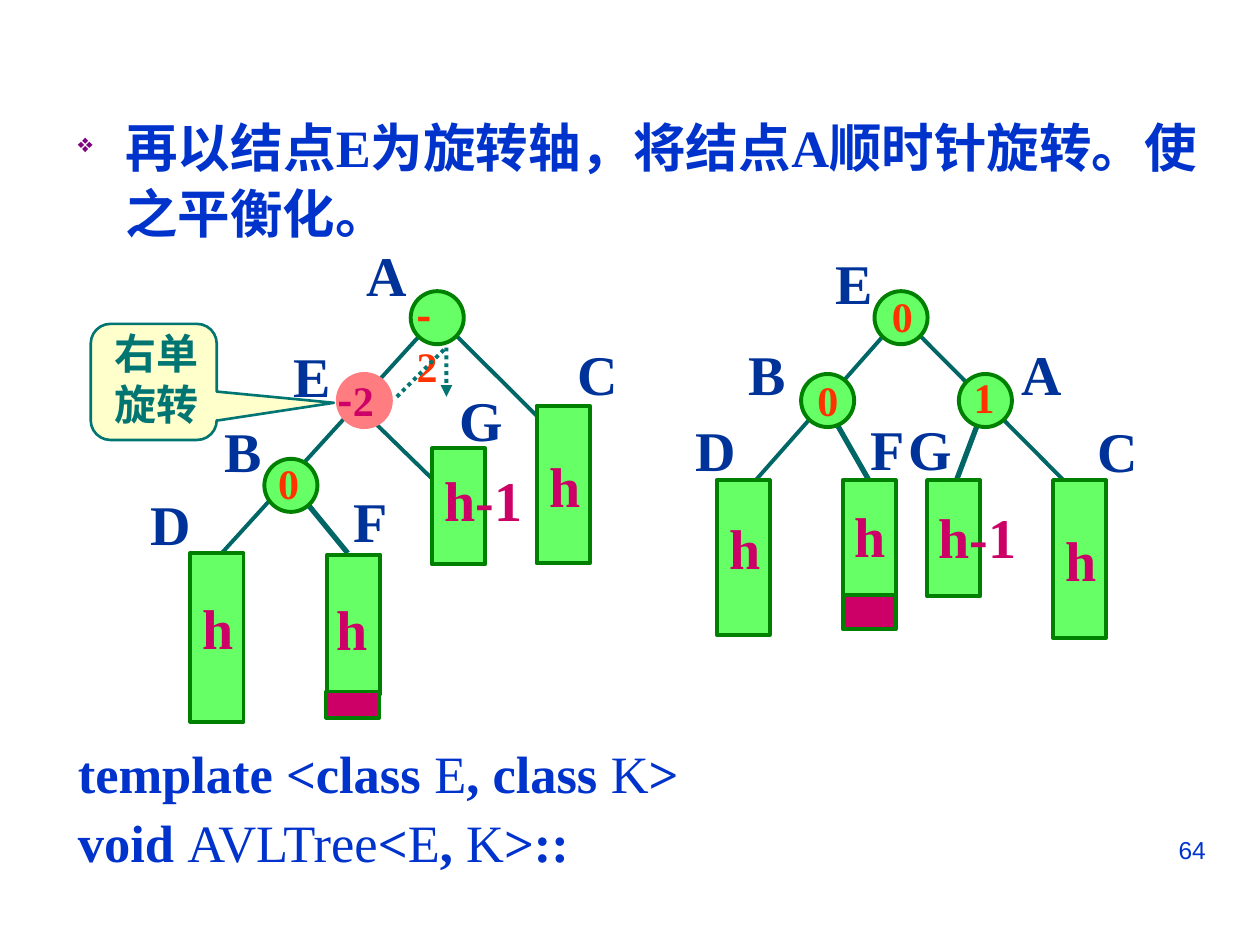
from dataclasses import dataclass
from typing import NamedTuple

from lxml import etree
from pptx import Presentation
from pptx import util as u
from pptx.dml.color import RGBColor
from pptx.enum import dml, shapes, text
from pptx.oxml import ns


@dataclass(frozen=True)
class Theme:
    blue: str = "0033CC"
    navy: str = "003399"
    teal: str = "007572"
    edge: str = "006666"
    green: str = "66FF66"
    outline: str = "008000"
    crimson: str = "CC0066"
    red: str = "FF3300"
    salmon: str = "FF7C80"
    cream: str = "FFFFCC"
    bullet: str = "800080"
    serif: str = "Times New Roman"
    sans: str = "Arial"
    cjk: str = "Noto Sans CJK SC"
    body: int = 30
    label: int = 32
    small: int = 24
    number: int = 14
    line: float = 2.25
    size: float = 1.07


class Edge(NamedTuple):
    x1: float
    y1: float
    x2: float
    y2: float
    width: float = 2.25


class Node(NamedTuple):
    x: float
    y: float
    fill: str = "66FF66"
    line: str = "008000"


class Bar(NamedTuple):
    x: float
    y: float
    height: float
    caption: str = ""
    spacing: float = 1.0
    fill: str = "66FF66"


class Label(NamedTuple):
    words: str
    x: float
    y: float


class Balance(NamedTuple):
    words: str
    x: float
    y: float
    width: float = 0.91
    color: str = "FF3300"
    wrap: bool = False


THEME = Theme()
LABEL_WIDTHS = {"A": 1.32, "B": 1.24, "C": 1.32, "D": 1.32, "E": 1.24, "F": 1.19, "G": 1.37,
                "h": 1.14, "h-1": 2.08}
EDGES = [
    Edge(5.97, 9.88, 7.01, 11.15, 3), Edge(9.14, 6.71, 11.05, 8.61),
    Edge(8.51, 6.71, 4.47, 11.15), Edge(7.44, 8.41, 8.71, 9.65),
    Edge(19.76, 8.41, 19.13, 10.08, 3), Edge(18.49, 6.71, 21.44, 9.68),
    Edge(17.86, 6.71, 14.88, 10.08), Edge(16.79, 8.41, 17.63, 9.88, 3),
]
NODES = [
    Node(8.28, 5.87), Node(6.81, 7.54, THEME.salmon, THEME.salmon), Node(5.33, 9.25),
    Node(17.63, 5.87), Node(16.15, 7.54), Node(19.33, 7.54),
]
BARS = [
    Bar(10.82, 8.18, 3.18, "h"), Bar(3.84, 11.15, 3.4, "h", 0.6),
    Bar(6.6, 11.18, 2.82), Bar(8.71, 9.04, 2.34), Bar(6.58, 13.94, 0.53, fill=THEME.crimson),
    Bar(21.23, 9.68, 3.18, "h"), Bar(14.45, 9.68, 3.12, "h", 0.6),
    Bar(16.99, 9.68, 2.41), Bar(18.69, 9.68, 2.34), Bar(16.99, 11.99, 0.69, fill=THEME.crimson),
]
LABELS = [
    Label("A", 7.14, 4.72), Label("E", 5.66, 6.76), Label("C", 11.4, 6.71),
    Label("D", 2.79, 9.75), Label("B", 4.27, 8.28), Label("F", 6.88, 9.68),
    Label("G", 9.02, 7.65), Label("h-1", 8.71, 9.25), Label("h", 6.53, 11.86),
    Label("E", 16.59, 4.88), Label("B", 14.83, 6.71), Label("A", 20.35, 6.71),
    Label("D", 13.77, 8.26), Label("F", 17.3, 8.23), Label("G", 18.06, 8.23),
    Label("C", 21.87, 8.28), Label("h-1", 18.67, 10.01), Label("h", 16.97, 9.98),
]
BALANCES = [
    Balance("0", 5.36, 9.09), Balance("-2", 8.15, 5.72, 1.19, wrap=True),
    Balance("-2", 6.55, 7.42, 1.42, THEME.crimson),
    Balance("0", 17.73, 5.74), Balance("0", 16.23, 7.42), Balance("1", 19.38, 7.37),
]
CODE = [
    ["template <class ", "E", ", class ", "K", ">"],
    ["void ", "AVLTree", "<", "E", ", ", "K", ">::"],
]
ARC = [(8.28, 7.75), (8.33, 7.67), (8.38, 7.57), (8.48, 7.52), (8.56, 7.47), (8.69, 7.44),
       (8.79, 7.44), (8.89, 7.44), (9.02, 7.42), (9.12, 7.47), (9.22, 7.52), (9.35, 7.67),
       (9.4, 7.72)]


def style_font(font, size: float, color: str, bold: bool = True, name: str = THEME.serif) -> None:
    font.size, font.bold, font.name = u.Pt(size), bold, name
    font.color.rgb = RGBColor.from_string(color)


def style_shape(shape, fill: str, line: str, width: float = THEME.line) -> None:
    shape.shadow.inherit = False
    shape.fill.solid()
    shape.fill.fore_color.rgb = RGBColor.from_string(fill)
    shape.line.color.rgb = RGBColor.from_string(line)
    shape.line.width = u.Pt(width)


def add_text(page, words: str, x: float, y: float, width: float, height: float, size: float,
             color: str, wrap: bool = True, bold: bool = True, name: str = THEME.serif):
    box = page.shapes.add_textbox(u.Cm(x), u.Cm(y), u.Cm(width), u.Cm(height))
    frame = box.text_frame
    frame.word_wrap = wrap
    if not wrap:
        frame.auto_size = text.MSO_AUTO_SIZE.SHAPE_TO_FIT_TEXT
    frame.text = words
    for para in frame.paragraphs:
        for span in para.runs:
            style_font(span.font, size, color, bold, name)
    return box


def add_heading(page) -> None:
    box = add_text(page, "再以结点E为旋转轴，将结点A顺时针旋转。使之平衡化。", 1.32, 2.13, 23.06, 3,
                   THEME.body, THEME.blue)
    para = box.text_frame.paragraphs[0]
    para.alignment = text.PP_ALIGN.JUSTIFY
    para.line_spacing = 1.05
    props = para._p.get_or_add_pPr()
    props.set("marL", str(u.Cm(0.96)))
    props.set("indent", str(u.Cm(-0.96)))
    color = etree.SubElement(props, ns.qn("a:buClr"))
    etree.SubElement(color, ns.qn("a:srgbClr"), val=THEME.bullet)
    etree.SubElement(props, ns.qn("a:buSzPct"), val="50000")
    etree.SubElement(props, ns.qn("a:buChar"), char="❖")


def add_code(page) -> None:
    box = page.shapes.add_textbox(u.Cm(1.32), u.Cm(14.81), u.Cm(20), u.Cm(3))
    frame = box.text_frame
    frame.word_wrap = True
    for row, pieces in enumerate(CODE):
        para = frame.add_paragraph() if row else frame.paragraphs[0]
        para.space_before = u.Pt(3.7 if row else 0)
        for place, piece in enumerate(pieces):
            span = para.add_run()
            span.text = piece
            style_font(span.font, THEME.body, THEME.blue, place % 2 == 0)


def add_callout(page) -> None:
    shape = page.shapes.add_shape(shapes.MSO_SHAPE.ROUNDED_RECTANGULAR_CALLOUT,
                                  u.Cm(1.83), u.Cm(6.53), u.Cm(2.54), u.Cm(2.34))
    for place, value in enumerate((1.43, 0.18, 0.17)):
        shape.adjustments[place] = value
    style_shape(shape, THEME.cream, THEME.teal, 1.5)
    add_text(page, "右单\n旋转", 2.06, 6.48, 2.54, 2.29, THEME.small, THEME.teal)


def add_edge(page, edge: Edge) -> None:
    line = page.shapes.add_connector(shapes.MSO_CONNECTOR.STRAIGHT, u.Cm(edge.x1), u.Cm(edge.y1),
                                     u.Cm(edge.x2), u.Cm(edge.y2))
    line.line.color.rgb = RGBColor.from_string(THEME.edge)
    line.line.width = u.Pt(edge.width)
    etree.SubElement(line._element.spPr, ns.qn("a:effectLst"))


def add_node(page, node: Node) -> None:
    shape = page.shapes.add_shape(shapes.MSO_SHAPE.OVAL, u.Cm(node.x), u.Cm(node.y),
                                  u.Cm(THEME.size), u.Cm(THEME.size))
    style_shape(shape, node.fill, node.line)


def add_bar(page, bar: Bar) -> None:
    shape = page.shapes.add_shape(shapes.MSO_SHAPE.RECTANGLE, u.Cm(bar.x), u.Cm(bar.y),
                                  u.Cm(THEME.size), u.Cm(bar.height))
    style_shape(shape, bar.fill, THEME.outline)
    if bar.caption:
        frame = shape.text_frame
        frame.word_wrap = False
        frame.text = bar.caption
        para = frame.paragraphs[0]
        para.line_spacing = bar.spacing
        style_font(para.runs[0].font, THEME.label, THEME.crimson)


def add_balance(page, item: Balance) -> None:
    box = add_text(page, item.words[:1], item.x, item.y, item.width, 1.27, THEME.small,
                   item.color, item.wrap)
    para = box.text_frame.paragraphs[0]
    if len(item.words) > 1:
        para.runs[0].font.name = THEME.cjk
        span = para.add_run()
        span.text = item.words[1:]
        style_font(span.font, THEME.small, item.color)


def add_arc(page) -> None:
    builder = page.shapes.build_freeform(*ARC[0], scale=u.Cm(1))
    builder.add_line_segments(ARC[1:], close=False)
    shape = builder.convert_to_shape()
    style_shape(shape, THEME.cream, THEME.teal)
    shape.fill.background()
    shape.line.dash_style = dml.MSO_LINE.ROUND_DOT
    etree.SubElement(shape.line._get_or_add_ln(), ns.qn("a:tailEnd"), type="triangle")


def main() -> None:
    """Build the AVL right-rotation slide and save it."""
    deck = Presentation()
    deck.slide_width, deck.slide_height = u.Cm(25.4), u.Cm(19.05)
    page = deck.slides.add_slide(deck.slide_layouts[6])
    number = add_text(page, "64", 18.21, 16.71, 6.35, 1.32, THEME.number, THEME.blue,
                      bold=False, name=THEME.sans)
    number.text_frame.paragraphs[0].alignment = text.PP_ALIGN.RIGHT
    add_heading(page)
    add_code(page)
    add_callout(page)
    for draw, items in ((add_edge, EDGES), (add_node, NODES), (add_bar, BARS)):
        for item in items:
            draw(page, item)
    for label in LABELS:
        color = THEME.crimson if label.words.startswith("h") else THEME.navy
        add_text(page, label.words, label.x, label.y, LABEL_WIDTHS[label.words], 1.63,
                 THEME.label, color, wrap=False)
    for item in BALANCES:
        add_balance(page, item)
    add_arc(page)
    deck.save("out.pptx")


if __name__ == "__main__":
    main()
